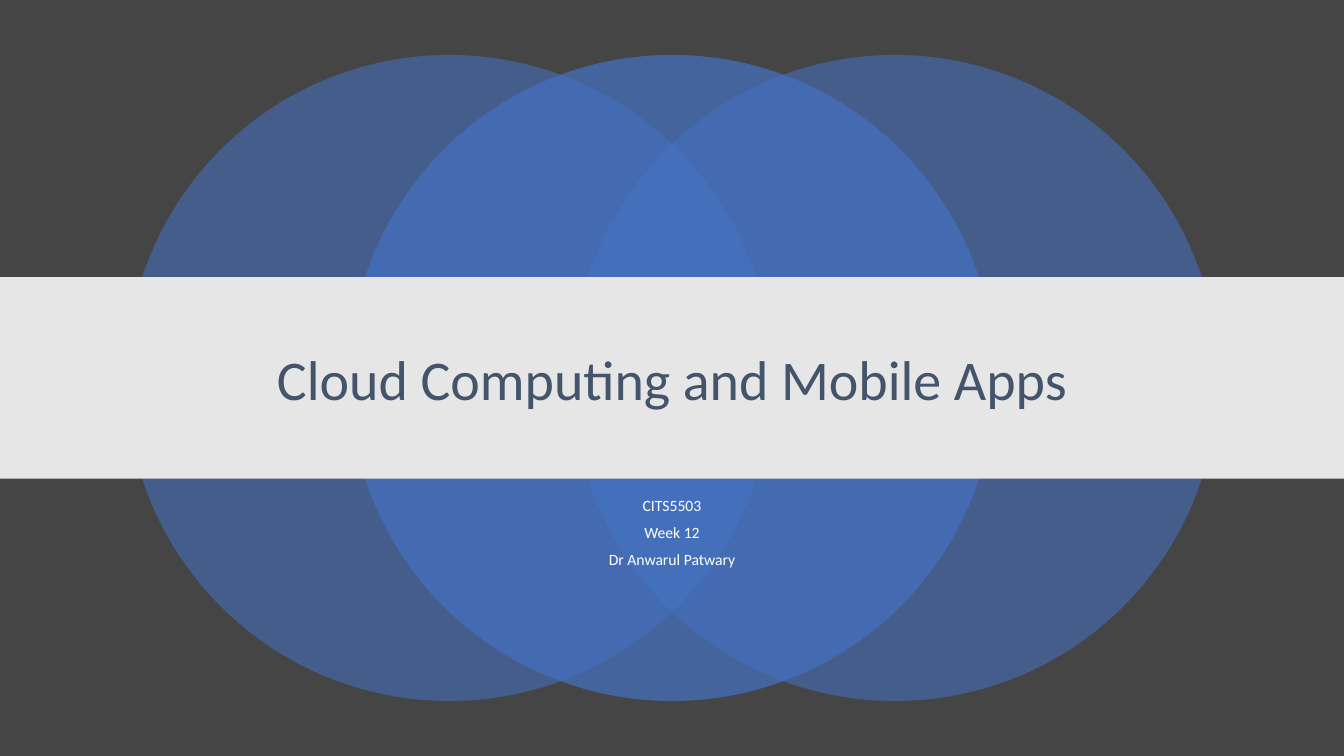
from lxml.etree import SubElement
from pptx import Presentation
from pptx.dml.color import RGBColor
from pptx.enum.shapes import MSO_SHAPE as Shape
from pptx.enum.text import MSO_ANCHOR as Anchor, MSO_AUTO_SIZE as AutoSize, PP_ALIGN as Align
from pptx.oxml.ns import qn
from pptx.util import Inches, Pt

WIDTH, HEIGHT = 13.33, 7.5
CHARCOAL = RGBColor(0x45, 0x45, 0x45)
BLUE = RGBColor(0x44, 0x72, 0xC4)
LIGHT_GREY = RGBColor(0xE7, 0xE6, 0xE6)
SLATE = RGBColor(0x44, 0x54, 0x6A)
WHITE = RGBColor(0xFF, 0xFF, 0xFF)

DIAMETER = 6.41
CIRCLE_STEP = 2.21
CIRCLE_TOP = (HEIGHT - DIAMETER) / 2
MIDDLE_LEFT = 3.46
TEXT_WIDTH = 10
TEXT_LEFT = (WIDTH - TEXT_WIDTH) / 2

TITLE_FORMAT = {"alignment": Align.CENTER, "line_spacing": 0.9}
DETAIL_FORMAT = {"alignment": Align.CENTER, "line_spacing": 0.7, "space_before": Pt(10)}


def apply_format(target, values):
    for attribute, value in values.items():
        setattr(target, attribute, value)


def add_filled(slide, preset, box, color, opacity=100):
    """Add a borderless shape, see-through when opacity is below 100 percent."""
    filled = slide.shapes.add_shape(preset, *map(Inches, box))
    filled.shadow.inherit = False
    filled.line.fill.background()
    filled.fill.solid()
    filled.fill.fore_color.rgb = color
    if opacity < 100:
        tint = filled.fill._xPr.find(f"{qn('a:solidFill')}/{qn('a:srgbClr')}")
        SubElement(tint, qn("a:alpha"), val=str(opacity * 1000))


def fill_placeholder(slide, placeholder, box, lines, anchor, size, color, paragraph_format):
    """Place and format a placeholder, and bring it in front of the shapes."""
    slide.shapes._spTree.append(placeholder._element)
    apply_format(placeholder, dict(zip(("left", "top", "width", "height"), map(Inches, box))))
    frame = placeholder.text_frame
    frame.text = "\n".join(lines)
    apply_format(frame, {"word_wrap": True, "auto_size": AutoSize.NONE,
                         "vertical_anchor": anchor})
    for paragraph in frame.paragraphs:
        apply_format(paragraph, paragraph_format)
        for run in paragraph.runs:
            apply_format(run.font, {"name": "Calibri", "size": Pt(size)})
            run.font.color.rgb = color


def main():
    deck = Presentation()
    apply_format(deck, {"slide_width": Inches(WIDTH), "slide_height": Inches(HEIGHT)})
    slide = deck.slides.add_slide(deck.slide_layouts[0])
    title, details = slide.placeholders

    # Background
    slide.background.fill.solid()
    slide.background.fill.fore_color.rgb = CHARCOAL

    # Overlapping circles: outer pair first, stronger middle one in front
    for step, opacity in ((-1, 55), (1, 55), (0, 70)):
        left = MIDDLE_LEFT + step * CIRCLE_STEP
        add_filled(slide, Shape.OVAL, (left, CIRCLE_TOP, DIAMETER, DIAMETER), BLUE, opacity)

    # Title band
    add_filled(slide, Shape.RECTANGLE, (0, (HEIGHT - 2) / 2, WIDTH, 2), LIGHT_GREY)

    # Title and course details
    fill_placeholder(slide, title, (TEXT_LEFT, 3.04, TEXT_WIDTH, 1.51),
                     ["Cloud Computing and Mobile Apps"],
                     Anchor.MIDDLE, 40, SLATE, TITLE_FORMAT)
    fill_placeholder(slide, details, (TEXT_LEFT, 4.92, TEXT_WIDTH, 0.83),
                     ["CITS5503", "Week 12", "Dr Anwarul Patwary"],
                     Anchor.TOP, 11.2, WHITE, DETAIL_FORMAT)

    deck.save("out.pptx")


main()
